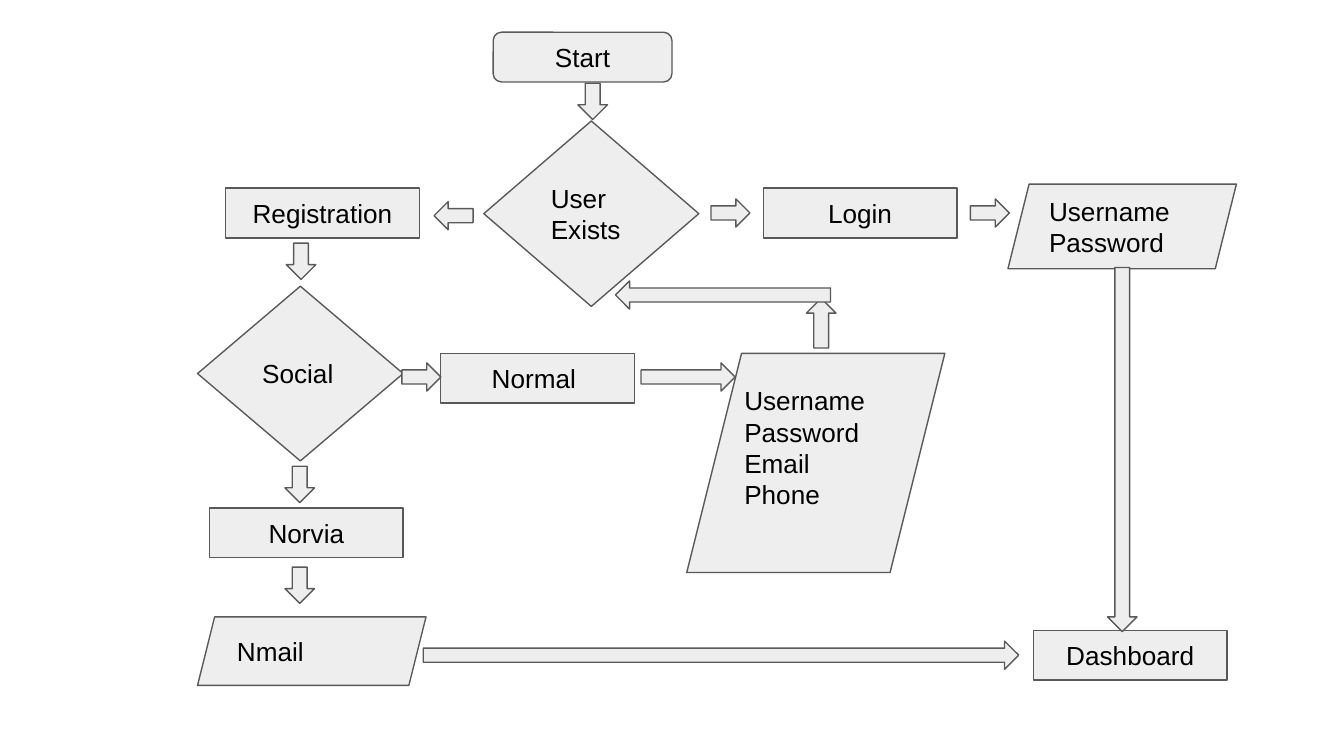
from dataclasses import dataclass

import pptx
import pptx.dml.color
import pptx.enum.shapes
import pptx.enum.text
import pptx.util

Inches = pptx.util.Inches
Pt = pptx.util.Pt
RGBColor = pptx.dml.color.RGBColor
SHAPE = pptx.enum.shapes.MSO_SHAPE
ALIGN = pptx.enum.text.PP_ALIGN

FILL = RGBColor(0xEE, 0xEE, 0xEE)
OUTLINE = RGBColor(0x59, 0x59, 0x59)
INK = RGBColor(0x00, 0x00, 0x00)

FONT = "Arial"
FONT_SIZE = 14
INSET = 0.1
STEP_W, STEP_H = 1.44, 0.37
DOWN_LENGTH, SIDE_LENGTH = 0.27, 0.29
VERTICAL_WIDTH, HORIZONTAL_WIDTH = 0.22, 0.21


@dataclass(frozen=True)
class Node:
    """A flowchart box; \\v in its text is a line break."""
    text: str
    left: float
    top: float
    width: float = STEP_W
    height: float = STEP_H
    kind: SHAPE = SHAPE.FLOWCHART_PROCESS
    align: ALIGN = ALIGN.CENTER
    bottom_inset: float = INSET


@dataclass(frozen=True)
class Arrow:
    kind: SHAPE
    left: float
    top: float
    length: float


NODES = [
    Node("Start", 3.67, 0.24, width=1.33, kind=SHAPE.ROUNDED_RECTANGLE),
    Node("User Exists", 3.6, 0.9, 1.6, 1.38, SHAPE.FLOWCHART_DECISION, ALIGN.LEFT),
    Node("Login", 5.68, 1.4),
    Node("Registration", 1.68, 1.4),
    Node("Social", 1.47, 2.13, 1.53, 1.3, SHAPE.DIAMOND, ALIGN.LEFT),
    Node("Normal ", 3.28, 2.63),
    Node("Norvia", 1.56, 3.78),
    Node("Username\vPassword", 7.5, 1.37, 1.7, 0.63, SHAPE.PARALLELOGRAM, ALIGN.LEFT),
    Node("Username\vPassword\vEmail\vPhone", 5.11, 2.63, 1.92, 1.63,
         SHAPE.PARALLELOGRAM, ALIGN.LEFT, bottom_inset=0.33),
    Node("Nmail", 1.47, 4.59, 1.7, 0.51, SHAPE.PARALLELOGRAM, ALIGN.LEFT),
    Node("Dashboard", 7.69, 4.69),
]

ARROWS = [
    Arrow(SHAPE.DOWN_ARROW, 4.3, 0.62, DOWN_LENGTH),
    Arrow(SHAPE.DOWN_ARROW, 2.13, 1.81, DOWN_LENGTH),
    Arrow(SHAPE.DOWN_ARROW, 2.12, 3.47, DOWN_LENGTH),
    Arrow(SHAPE.DOWN_ARROW, 2.12, 4.22, DOWN_LENGTH),
    Arrow(SHAPE.DOWN_ARROW, 8.24, 1.99, 2.71),
    Arrow(SHAPE.RIGHT_ARROW, 2.99, 2.7, SIDE_LENGTH),
    Arrow(SHAPE.RIGHT_ARROW, 5.29, 1.48, SIDE_LENGTH),
    Arrow(SHAPE.RIGHT_ARROW, 7.22, 1.48, SIDE_LENGTH),
    Arrow(SHAPE.LEFT_ARROW, 3.23, 1.5, SIDE_LENGTH),
    Arrow(SHAPE.RIGHT_ARROW, 4.77, 2.7, 0.7),
    Arrow(SHAPE.UP_ARROW, 6, 2.22, 0.37),
    Arrow(SHAPE.LEFT_ARROW, 4.58, 2.09, 1.6),
    Arrow(SHAPE.RIGHT_ARROW, 3.15, 4.77, 4.43),
]


def add_outlined(s: pptx.slide.Slide, kind: SHAPE, left: float, top: float,
                 width: float, height: float) -> pptx.shapes.autoshape.Shape:
    """Add a grey shape with a thin dark outline and no shadow."""
    sp = s.shapes.add_shape(kind, Inches(left), Inches(top), Inches(width), Inches(height))
    sp.shadow.inherit = False
    sp.fill.solid()
    sp.fill.fore_color.rgb = FILL
    sp.line.color.rgb = OUTLINE
    sp.line.width = Pt(0.75)
    return sp


def add_node(s: pptx.slide.Slide, node: Node) -> None:
    sp = add_outlined(s, node.kind, node.left, node.top, node.width, node.height)
    tf = sp.text_frame
    tf.word_wrap = True
    tf.vertical_anchor = pptx.enum.text.MSO_ANCHOR.MIDDLE
    tf.margin_left = tf.margin_right = tf.margin_top = Inches(INSET)
    tf.margin_bottom = Inches(node.bottom_inset)
    p = tf.paragraphs[0]
    p.text = node.text
    p.alignment = node.align
    for r in p.runs:
        r.font.name = FONT
        r.font.size = Pt(FONT_SIZE)
        r.font.color.rgb = INK


def add_arrow(s: pptx.slide.Slide, arrow: Arrow) -> None:
    if arrow.kind in (SHAPE.DOWN_ARROW, SHAPE.UP_ARROW):
        width, height = VERTICAL_WIDTH, arrow.length
    else:
        width, height = arrow.length, HORIZONTAL_WIDTH
    add_outlined(s, arrow.kind, arrow.left, arrow.top, width, height)


def main() -> None:
    prs = pptx.Presentation()
    prs.slide_width = Inches(10)
    prs.slide_height = Inches(10 * 9 / 16)
    s = prs.slides.add_slide(prs.slide_layouts[6])
    for node in NODES:
        add_node(s, node)
    for arrow in ARROWS:
        add_arrow(s, arrow)
    prs.save("out.pptx")


if __name__ == "__main__":
    main()
